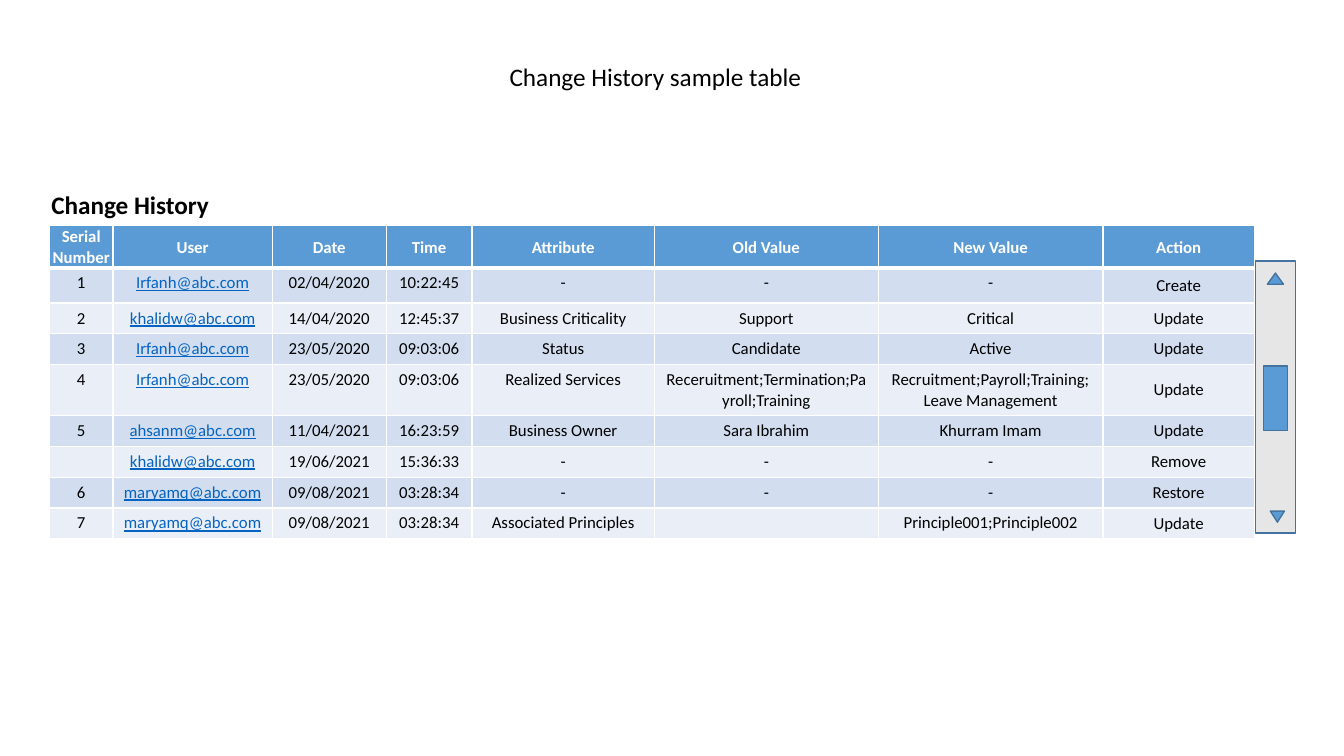
from lxml import etree
from pptx import Presentation
from pptx.dml.color import RGBColor
from pptx.enum.shapes import MSO_SHAPE
from pptx.enum.text import MSO_ANCHOR, PP_ALIGN
from pptx.oxml.ns import qn
from pptx.util import Inches, Pt

RECTANGLE, TRIANGLE = MSO_SHAPE.RECTANGLE, MSO_SHAPE.ISOSCELES_TRIANGLE
LEFT, CENTER = PP_ALIGN.LEFT, PP_ALIGN.CENTER
TOP, MIDDLE = MSO_ANCHOR.TOP, MSO_ANCHOR.MIDDLE

BLACK, WHITE, LINK = "000000", "FFFFFF", "0563C1"
BLUE, OUTLINE, TRACK = "5B9BD5", "43739E", "E7E6E6"
BANDS = ("EAEFF7", "D2DEEF")

HEADERS = ["Serial Number", "User", "Date", "Time", "Attribute",
           "Old Value", "New Value", "Action"]
CHANGES = [
    ["1", "Irfanh@abc.com", "02/04/2020", "10:22:45", "-", "-", "-", "Create"],
    ["2", "khalidw@abc.com", "14/04/2020", "12:45:37", "Business Criticality",
     "Support", "Critical", "Update"],
    ["3", "Irfanh@abc.com", "23/05/2020", "09:03:06", "Status",
     "Candidate", "Active", "Update"],
    ["4", "Irfanh@abc.com", "23/05/2020", "09:03:06", "Realized Services",
     "Receruitment;Termination;Payroll;Training",
     "Recruitment;Payroll;Training;Leave Management", "Update"],
    ["5", "ahsanm@abc.com", "11/04/2021", "16:23:59", "Business Owner",
     "Sara Ibrahim", "Khurram Imam", "Update"],
    ["", "khalidw@abc.com", "19/06/2021", "15:36:33", "-", "-", "-", "Remove"],
    ["6", "maryamq@abc.com", "09/08/2021", "03:28:34", "-", "-", "-", "Restore"],
    ["7", "maryamq@abc.com", "09/08/2021", "03:28:34", "Associated Principles",
     "", "Principle001;Principle002", "Update"],
]
# Shares of the slide's size, in percent
COLUMN_WIDTHS = [4.73, 11.85, 8.48, 6.38, 13.58, 16.65, 16.73, 11.25]
LINE_ROW = 4.07
ROW_HEIGHTS = [5.47, 4.67, LINE_ROW, LINE_ROW, 6.76] + [LINE_ROW] * 4


def color(value):
    """Turn a hex string into a colour."""
    return RGBColor.from_string(value)


class SlideBuilder:
    """Holds the text style and the current slide; lengths are percent of it."""

    font_name = "Calibri"

    def __init__(self, presentation):
        """Add a blank slide to the presentation."""
        self.width, self.height = presentation.slide_width, presentation.slide_height
        self.slide = presentation.slides.add_slide(presentation.slide_layouts[6])

    def across(self, share):
        """Length for a share of the slide's width."""
        return round(self.width * share / 100)

    def down(self, share):
        """Length for a share of the slide's height."""
        return round(self.height * share / 100)

    def box(self, left, top, width, height):
        """Position and size for four shares."""
        return self.across(left), self.down(top), self.across(width), self.down(height)

    def fill_text(self, frame, text, size, ink=BLACK, bold=False, align=CENTER, underline=False):
        """Fill a text frame with one styled paragraph."""
        paragraph = frame.paragraphs[0]
        paragraph.alignment = align
        if text:
            paragraph.text = text
        else:
            paragraph._p.get_or_add_endParaRPr().set("sz", str(size * 100))
        font = paragraph.font
        font.name, font.size, font.bold, font.underline = self.font_name, Pt(size), bold, underline
        font.color.rgb = color(ink)

    def text(self, place, text, **style):
        """Add a wrapping text box."""
        frame = self.slide.shapes.add_textbox(*self.box(*place)).text_frame
        frame.word_wrap = True
        self.fill_text(frame, text, 18, **style)

    def shape(self, kind, place, fill=BLUE, rotation=0):
        """Add an outlined preset shape."""
        shape = self.slide.shapes.add_shape(kind, *self.box(*place))
        shape.shadow.inherit = False
        shape.rotation = rotation
        shape.fill.solid()
        shape.fill.fore_color.rgb = color(fill)
        shape.line.color.rgb = color(OUTLINE)
        shape.line.width = Pt(1)

    def borders(self, cell, top, bottom):
        """Draw white borders of the given top and bottom widths."""
        properties = cell._tc.get_or_add_tcPr()
        for side, points in (("L", 1), ("R", 1), ("T", top), ("B", bottom)):
            line = etree.SubElement(properties, qn(f"a:ln{side}"), w=str(Pt(points)))
            fill = etree.SubElement(line, qn("a:solidFill"))
            etree.SubElement(fill, qn("a:srgbClr"), val=WHITE)

    def cell(self, cell, row, column, text):
        """Style one table cell by its place in the table."""
        header = row == 0
        self.borders(cell, 3 if row == 1 else 1, 3 if header else 1)
        cell.fill.solid()
        cell.fill.fore_color.rgb = color(BLUE if header else BANDS[row % 2])
        cell.vertical_anchor = MIDDLE if header or HEADERS[column] == "Action" else TOP
        if header:
            cell.margin_left = cell.margin_right = cell.margin_top = Inches(0.01)
            cell.margin_bottom = 0
        link = not header and HEADERS[column] == "User"
        ink = WHITE if header else LINK if link else BLACK
        self.fill_text(cell.text_frame, text, 12, ink, bold=header, underline=link)

    def table(self, left, top, rows):
        """Add the change table with its column widths and row heights."""
        place = self.box(left, top, sum(COLUMN_WIDTHS), sum(ROW_HEIGHTS))
        table = self.slide.shapes.add_table(len(rows), len(HEADERS), *place).table
        for column, share in zip(table.columns, COLUMN_WIDTHS):
            column.width = self.across(share)
        for row, share in zip(table.rows, ROW_HEIGHTS):
            row.height = self.down(share)
        for row, values in enumerate(rows):
            for column, value in enumerate(values):
                self.cell(table.cell(row, column), row, column, value)


def main():
    """Build the change history slide."""
    presentation = Presentation()
    presentation.slide_width, presentation.slide_height = Inches(13.33), Inches(7.5)
    builder = SlideBuilder(presentation)
    builder.table(3.68, 29.87, [HEADERS] + CHANGES)
    builder.shape(RECTANGLE, (93.4, 34.53, 3, 36), fill=TRACK)
    builder.shape(TRIANGLE, (94.52, 67.6, 1.05, 1.47), rotation=180)
    builder.shape(TRIANGLE, (94.3, 36.13, 1.2, 1.47))
    builder.shape(RECTANGLE, (94, 48.4, 1.8, 8.53))
    builder.text((3.08, 24.4, 15.08, 5.33), "Change History", bold=True, align=LEFT)
    builder.text((18.38, 7.47, 60.77, 5.33), "Change History sample table")
    presentation.save("out.pptx")


main()
